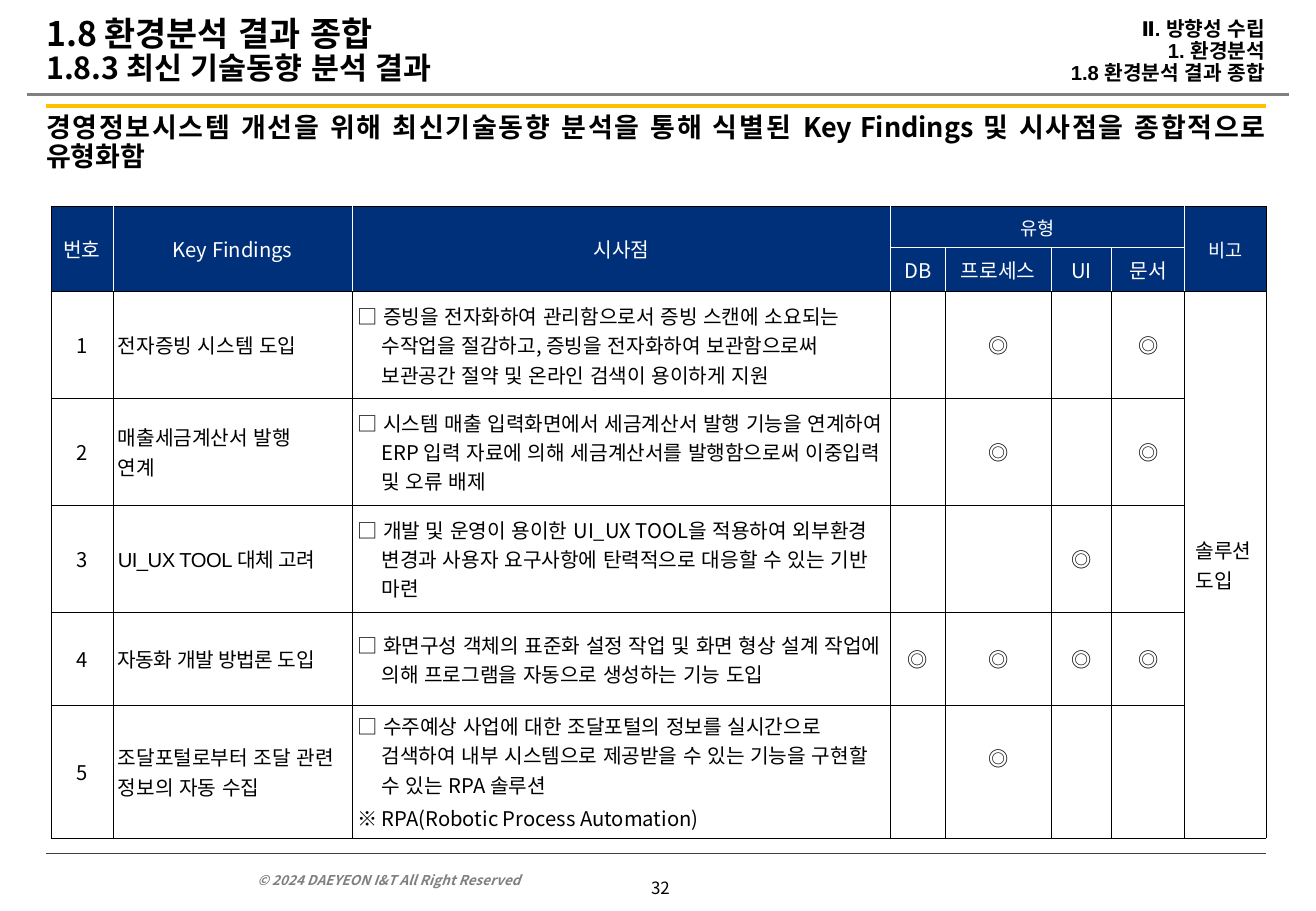
from lxml.etree import SubElement
from pptx import Presentation
from pptx.dml.color import RGBColor
from pptx.enum.lang import MSO_LANGUAGE_ID
from pptx.enum.shapes import MSO_CONNECTOR
from pptx.enum.text import MSO_ANCHOR, PP_ALIGN
from pptx.oxml.ns import qn
from pptx.util import Inches, Pt

BLACK = RGBColor(0x00, 0x00, 0x00)
WHITE = RGBColor(0xFF, 0xFF, 0xFF)
NAVY = RGBColor(0x00, 0x30, 0x79)
GOLD = RGBColor(0xFF, 0xC0, 0x00)
GRAY = RGBColor(0x80, 0x80, 0x80)
DARK_GRAY = RGBColor(0x40, 0x40, 0x40)

COLUMNS = [0.51, 1.97, 4.43, 0.45, 0.87, 0.5, 0.6, 0.67]
ROWS = [0.34, 0.36, 0.88, 0.88, 0.88, 0.77, 1.09]
TYPES = ["DB", "프로세스", "UI", "문서"]
FIRST_TYPE, LAST_TYPE, REMARK = 3, 6, 7
FINDINGS = [
    (["전자증빙 시스템 도입"],
     ["□ 증빙을 전자화하여 관리함으로서 증빙 스캔에 소요되는 수작업을 절감하고, 증빙을 전자화하여 보관함으로써 보관공간 절약 및 온라인 검색이 용이하게 지원"],
     ["프로세스", "문서"]),
    (["매출세금계산서 발행", "연계"],
     ["□ 시스템 매출 입력화면에서 세금계산서 발행 기능을 연계하여 ERP 입력 자료에 의해 세금계산서를 발행함으로써 이중입력 및 오류 배제"],
     ["프로세스", "문서"]),
    (["UI_UX TOOL 대체 고려"],
     ["□ 개발 및 운영이 용이한 UI_UX TOOL을 적용하여 외부환경 변경과 사용자 요구사항에 탄력적으로 대응할 수 있는 기반 마련"],
     ["UI"]),
    (["자동화 개발 방법론 도입"],
     ["□ 화면구성 객체의 표준화 설정 작업 및 화면 형상 설계 작업에 의해 프로그램을 자동으로 생성하는 기능 도입"],
     TYPES),
    (["조달포털로부터 조달 관련 정보의 자동 수집"],
     ["□ 수주예상 사업에 대한 조달포털의 정보를 실시간으로 검색하여 내부 시스템으로 제공받을 수 있는 기능을 구현할 수 있는 RPA 솔루션",
      "※ RPA(Robotic Process Automation)"],
     ["프로세스"]),
]
CONDENSED = (2, 3)


class SlideBuilder:
    font = "Noto Sans CJK KR"

    def __init__(self, prs):
        self.s = prs.slides.add_slide(prs.slide_layouts[6])

    def line(self, left, right, y, color, width):
        sp = self.s.shapes.add_connector(
            MSO_CONNECTOR.STRAIGHT, Inches(left), Inches(y), Inches(right), Inches(y))
        sp.line.color.rgb = color
        sp.line.width = Pt(width)
        SubElement(sp._element.spPr, qn("a:effectLst"))

    def run(self, p, text, size, color=BLACK, bold=False, italic=False, latin=None, spacing=0):
        r = p.add_run()
        r.text = text
        r.font.size = Pt(size)
        r.font.bold = bold
        r.font.italic = italic
        r.font.color.rgb = color
        r.font.name = latin or self.font
        r.font.language_id = MSO_LANGUAGE_ID.KOREAN
        rpr = r._r.get_or_add_rPr()
        SubElement(rpr, qn("a:ea")).set("typeface", self.font)
        if spacing:
            rpr.set("spc", str(spacing))

    def text(self, box, paragraphs, margins=(0, 0), align=PP_ALIGN.LEFT,
             anchor=MSO_ANCHOR.TOP, line_spacing=1.0, wrap=True, **style):
        sp = self.s.shapes.add_textbox(*map(Inches, box))
        tf = sp.text_frame
        tf.word_wrap = wrap
        tf.vertical_anchor = anchor
        tf.margin_left = tf.margin_right = Inches(margins[0])
        tf.margin_top = tf.margin_bottom = Inches(margins[1])
        for i, lines in enumerate(paragraphs):
            p = tf.add_paragraph() if i else tf.paragraphs[0]
            p.alignment = align
            p.line_spacing = line_spacing
            for j, (text, size) in enumerate(lines):
                if j:
                    p.add_line_break()
                self.run(p, text, size, **style)

    def table(self, left, top, columns, rows):
        sp = self.s.shapes.add_table(
            len(rows), len(columns), Inches(left), Inches(top),
            Inches(sum(columns)), Inches(sum(rows)))
        table = sp.table
        table.first_row = table.horz_banding = False
        for column, width in zip(table.columns, columns):
            column.width = Inches(width)
        for row, height in zip(table.rows, rows):
            row.height = Inches(height)
        return table

    def cell_style(self, cell, fill, borders):
        cell.fill.solid()
        cell.fill.fore_color.rgb = fill
        cell.vertical_anchor = MSO_ANCHOR.MIDDLE
        cell.margin_left = cell.margin_right = Inches(0.04)
        cell.margin_top = cell.margin_bottom = Inches(0.04)
        tcpr = cell._tc.get_or_add_tcPr()
        for i, (side, color) in enumerate(zip("LRTB", borders)):
            ln = SubElement(tcpr, qn(f"a:ln{side}"), w=str(Pt(0.5)))
            SubElement(SubElement(ln, qn("a:solidFill")), qn("a:srgbClr"), val=str(color))
            tcpr.insert(i, ln)

    def cell_text(self, cell, paragraphs, size=12, align=PP_ALIGN.CENTER, hanging=False, **style):
        tf = cell.text_frame
        for i, text in enumerate(paragraphs):
            p = tf.add_paragraph() if i else tf.paragraphs[0]
            p.alignment = align
            if hanging:
                ppr = p._p.get_or_add_pPr()
                ppr.set("marL", str(Inches(0.2)))
                ppr.set("indent", str(Inches(-0.29)))
                p.space_before = Pt(2.4 if i else 0)
            self.run(p, text, size, **style)


def header_borders(row, col):
    under_types = row == 0 and FIRST_TYPE <= col <= LAST_TYPE
    return (WHITE if col else BLACK,
            WHITE if col < REMARK else BLACK,
            WHITE if row else BLACK,
            WHITE if under_types else BLACK)


def add_findings_table(slide):
    table = slide.table(0.42, 1.7, COLUMNS, ROWS)
    for row in range(len(ROWS)):
        for col in range(len(COLUMNS)):
            header = row < 2
            slide.cell_style(table.cell(row, col), NAVY if header else WHITE,
                             header_borders(row, col) if header else [BLACK] * 4)
    for col in (0, 1, 2, REMARK):
        table.cell(0, col).merge(table.cell(1, col))
    table.cell(0, FIRST_TYPE).merge(table.cell(0, LAST_TYPE))
    table.cell(2, REMARK).merge(table.cell(len(ROWS) - 1, REMARK))

    headings = [(0, "번호", 12), (1, "Key Findings", 12), (2, "시사점", 12),
                (FIRST_TYPE, "유형", 11), (REMARK, "비고", 11)]
    for col, text, size in headings:
        slide.cell_text(table.cell(0, col), [text], size, color=WHITE)
    for col, name in enumerate(TYPES, FIRST_TYPE):
        slide.cell_text(table.cell(1, col), [name], color=WHITE)

    for i, (finding, implications, marked) in enumerate(FINDINGS):
        row = i + 2
        condensed = {"latin": "Arial", "spacing": -30} if i in CONDENSED else {}
        slide.cell_text(table.cell(row, 0), [str(i + 1)])
        slide.cell_text(table.cell(row, 1), finding, align=PP_ALIGN.LEFT, **condensed)
        slide.cell_text(table.cell(row, 2), implications, align=PP_ALIGN.LEFT, hanging=True)
        for name in marked:
            slide.cell_text(table.cell(row, FIRST_TYPE + TYPES.index(name)), ["◎"])
    table.cell(len(ROWS) - 1, FIRST_TYPE + 1).margin_bottom = Inches(0.28)
    remark = table.cell(2, REMARK)
    remark.margin_left = Inches(0.09)
    slide.cell_text(remark, ["솔루션 도입"], align=PP_ALIGN.LEFT)


def main():
    prs = Presentation()
    prs.slide_width = Inches(10.83)
    prs.slide_height = Inches(7.5)
    slide = SlideBuilder(prs)

    slide.line(0.22, 10.61, 0.78, GRAY, 1.5)
    slide.line(0.38, 10.42, 0.87, GOLD, 2.5)
    slide.line(0.38, 10.42, 7.03, DARK_GRAY, 0.5)
    slide.text((2.02, 7.09, 3.02, 0.27), [[("© 2024 DAEYEON I&T All Right Reserved", 8)]],
               margins=(0.1, 0.05), anchor=MSO_ANCHOR.BOTTOM, color=GRAY, bold=True, italic=True)
    slide.text((5.26, 7.18, 0.35, 0.27), [[("32", 10)]],
               margins=(0.06, 0.05), align=PP_ALIGN.CENTER, wrap=False)
    slide.text((0.38, 0.94, 10.04, 0.52),
               [[("경영정보시스템 개선을 위해 최신기술동향 분석을 통해 식별된 Key Findings 및 시사점을 종합적으로 유형화함", 16)]],
               align=PP_ALIGN.JUSTIFY, line_spacing=0.9, bold=True)
    slide.text((0.38, 0, 6.4, 0.85),
               [[("1.8 환경분석 결과 종합", 20), ("1.8.3 최신 기술동향 분석 결과", 18)]],
               anchor=MSO_ANCHOR.MIDDLE, line_spacing=0.9, bold=True)
    slide.text((6.87, 0, 3.54, 0.86),
               [[("Ⅱ. 방향성 수립", 12)], [("1. 환경분석", 12)], [("1.8 환경분석 결과 종합", 12)]],
               margins=(0, 0.05), align=PP_ALIGN.RIGHT, anchor=MSO_ANCHOR.MIDDLE,
               line_spacing=0.9, bold=True, latin="Arial")
    add_findings_table(slide)
    prs.save("out.pptx")


if __name__ == "__main__":
    main()
